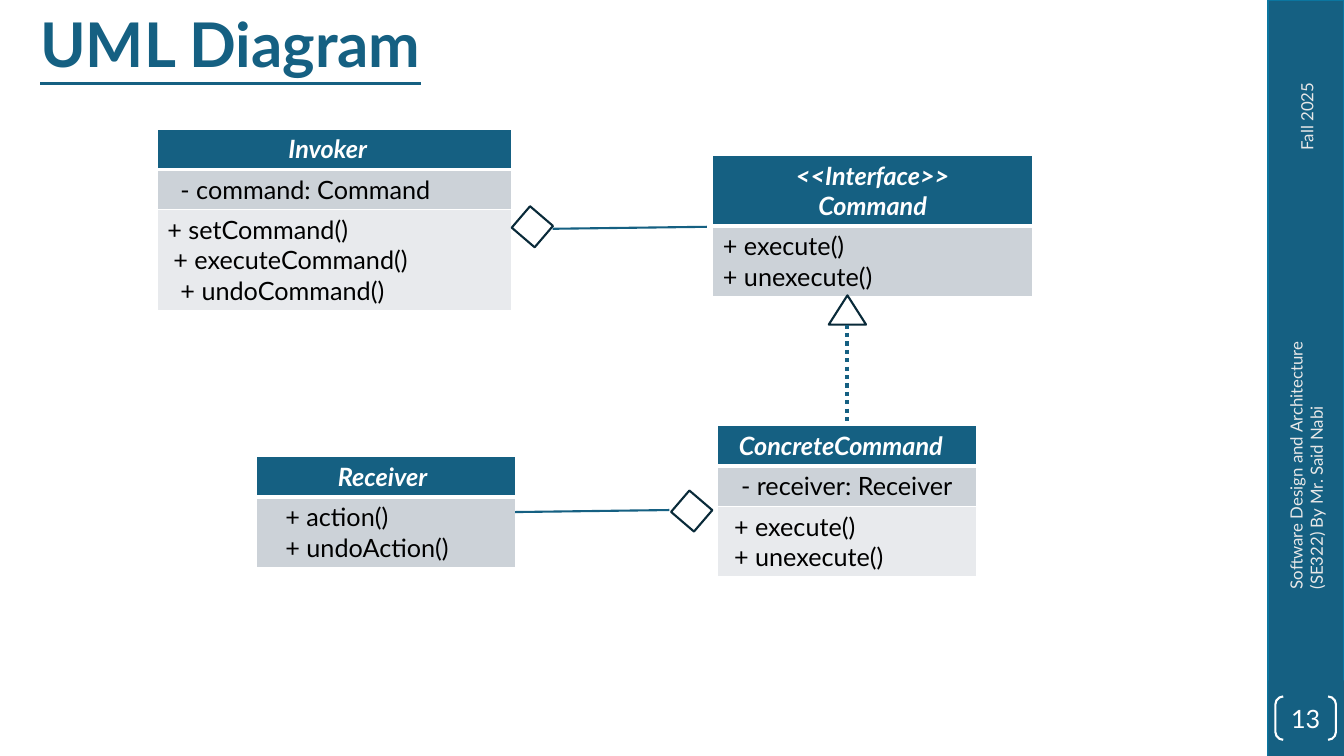
import pptx
import pptx.chart.data
import pptx.dml.color
import pptx.enum.dml
import pptx.enum.shapes
import pptx.enum.text
import pptx.oxml
import pptx.oxml.ns
import pptx.util

Inches = pptx.util.Inches
Pt = pptx.util.Pt
SHAPES = pptx.enum.shapes.MSO_SHAPE
CENTER = pptx.enum.text.PP_ALIGN.CENTER
MIDDLE = pptx.enum.text.MSO_ANCHOR.MIDDLE

FONT = "Lato"
COLORS = {
    "blue": "156082", "edge": "0B76A0", "outline": "092A39", "white": "FFFFFF",
    "black": "000000", "pale": "E8E8E8", "band": "CCD2D8", "light": "E8EAED",
}
TITLE = "UML Diagram"
PAGE_NUMBER = "13"
SIDE_NOTES = [
    ("Fall 2025", (12.25, 0.73, 1.42, 0.3)),
    ("Software Design and Architecture (SE322) By Mr. Said Nabi", (11.62, 4.36, 2.67, 0.5)),
]
CLASSES = [
    {"left": 7.07, "top": 1.54, "width": 3.17, "shift": 0,
     "rows": [["<<Interface>>", "Command"], ["+ execute()", "+ unexecute()"]],
     "indents": [[0, 0]]},
    {"left": 7.12, "top": 4.22, "width": 2.57, "shift": 0.13,
     "rows": [["ConcreteCommand"], ["- receiver: Receiver"], ["+ execute()", "+ unexecute()"]],
     "indents": [[0.13], [0.06, 0.06]]},
    {"left": 2.54, "top": 4.53, "width": 2.57, "shift": 0.06,
     "rows": [["Receiver"], ["+ action()", "+ undoAction()"]],
     "indents": [[0.19, 0.19]]},
    {"left": 1.56, "top": 1.28, "width": 3.51, "shift": 0.13,
     "rows": [["Invoker"], ["- command: Command"],
              ["+ setCommand()", "+ executeCommand()", "+ undoCommand()"]],
     "indents": [[0.13], [0, 0.06, 0.13]]},
]
ROW_FILLS = ["blue", "band", "light"]
INSET, LINE_HEIGHT = 0.1, 0.3
MARKERS = [
    (SHAPES.ISOSCELES_TRIANGLE, (8.22, 2.93, 0.37, 0.29), 0),
    (SHAPES.RECTANGLE, (6.71, 4.93, 0.3, 0.28), 40.6),
    (SHAPES.RECTANGLE, (5.13, 2.11, 0.3, 0.28), 40.6),
]
RELATIONS = [
    ((8.4, 3.22), (8.4, 4.22), 3, pptx.enum.dml.MSO_LINE.ROUND_DOT),
    ((5.11, 5.08), (6.64, 5.06), 1.5, None),
    ((5.48, 2.27), (7.01, 2.25), 1.5, None),
]


def color(name):
    return pptx.dml.color.RGBColor.from_string(COLORS[name])


def style_text(paragraph, size, color_name, bold=False, italic=False):
    for run in paragraph.runs:
        run.font.name = FONT
        run.font.size = Pt(size)
        run.font.color.rgb = color(color_name)
        run.font.bold = bold
        run.font.italic = italic


def add_box(slide, kind, box, fill=None, line=None):
    shape = slide.shapes.add_shape(kind, *map(Inches, box))
    shape.shadow.inherit = False
    if fill:
        shape.fill.solid()
        shape.fill.fore_color.rgb = color(fill)
    else:
        shape.fill.background()
    if line:
        shape.line.color.rgb = color(line)
        shape.line.width = Pt(1.5)
    else:
        shape.line.fill.background()
    return shape


def add_text(slide, text, box, size, color_name, bold=False):
    textbox = slide.shapes.add_textbox(*map(Inches, box))
    textbox.text_frame.word_wrap = True
    textbox.text_frame.text = text
    style_text(textbox.text_frame.paragraphs[0], size, color_name, bold)
    return textbox


def add_borders(cell, bottom):
    properties = cell._tc.get_or_add_tcPr()
    for side, width in (("L", 1), ("R", 1), ("T", 1), ("B", bottom)):
        properties.append(pptx.oxml.parse_xml(
            f'<a:ln{side} {pptx.oxml.ns.nsdecls("a")} w="{Pt(width)}"><a:solidFill>'
            f'<a:srgbClr val="{COLORS["white"]}"/></a:solidFill></a:ln{side}>'))


def add_class(slide, entry):
    rows = entry["rows"]
    heights = [INSET + LINE_HEIGHT * len(lines) for lines in rows]
    frame = slide.shapes.add_table(
        len(rows), 1, Inches(entry["left"]), Inches(entry["top"]),
        Inches(entry["width"]), Inches(sum(heights)))
    table = frame.table
    for index, lines in enumerate(rows):
        table.rows[index].height = Inches(heights[index])
        cell = table.cell(index, 0)
        header = index == 0
        add_borders(cell, 3 if header else 1)
        cell.fill.solid()
        cell.fill.fore_color.rgb = color(ROW_FILLS[index])
        cell.text_frame.text = "\n".join(lines)
        if header:
            cell.margin_right = Inches(INSET + entry["shift"])
        for number, paragraph in enumerate(cell.text_frame.paragraphs):
            style_text(paragraph, 18, "white" if header else "black", header, header)
            if header:
                paragraph.alignment = CENTER
            else:
                indent = Inches(entry["indents"][index - 1][number])
                paragraph._p.get_or_add_pPr().set("marL", str(indent))


def add_relation(slide, start, end, width, dash):
    connector = slide.shapes.add_connector(
        pptx.enum.shapes.MSO_CONNECTOR.STRAIGHT, *map(Inches, start + end))
    connector.line.color.rgb = color("blue")
    connector.line.width = Pt(width)
    if dash:
        connector.line.dash_style = dash
    connector._element.spPr.append(
        pptx.oxml.parse_xml(f'<a:effectLst {pptx.oxml.ns.nsdecls("a")}/>'))


def add_sidebar(slide):
    add_box(slide, SHAPES.RECTANGLE, (12.58, 0, 0.75, 7.5), "blue", "edge")
    add_box(slide, SHAPES.RECTANGLE, (12.58, 6.75, 0.75, 0.75), "blue")
    for text, box in SIDE_NOTES:
        add_text(slide, text, box, 12, "pale").rotation = 270
    bracket = add_box(slide, SHAPES.DOUBLE_BRACKET, (12.65, 6.91, 0.6, 0.43), line="white")
    bracket.adjustments[0] = 0.18
    frame = bracket.text_frame
    frame.margin_left = frame.margin_right = frame.margin_top = frame.margin_bottom = 0
    frame.vertical_anchor = MIDDLE
    frame.text = PAGE_NUMBER
    frame.paragraphs[0].alignment = CENTER
    style_text(frame.paragraphs[0], 18, "white")


def main():
    """Build the UML class diagram slide."""
    presentation = pptx.Presentation()
    presentation.slide_width = Inches(13.33)
    presentation.slide_height = Inches(7.5)
    slide = presentation.slides.add_slide(presentation.slide_layouts[6])
    add_sidebar(slide)
    title = add_text(slide, TITLE, (0.3, 0.09, 12.41, 0.71), 44, "blue", True)
    title.text_frame.paragraphs[0].line_spacing = 0.9
    title.text_frame.paragraphs[0].runs[0].font.underline = True
    for entry in CLASSES:
        add_class(slide, entry)
    for kind, box, rotation in MARKERS:
        add_box(slide, kind, box, line="outline").rotation = rotation
    for relation in RELATIONS:
        add_relation(slide, *relation)
    presentation.save("out.pptx")


if __name__ == "__main__":
    main()
